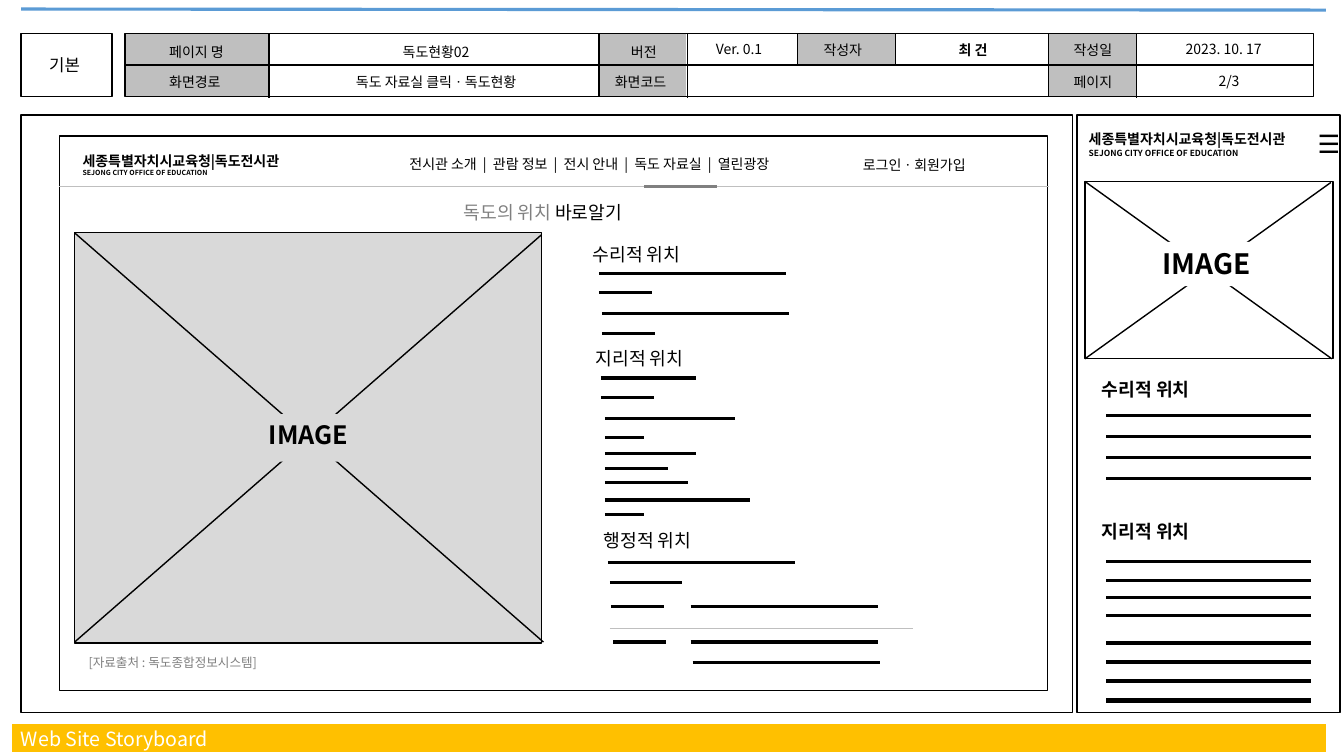
from lxml import etree
from pptx import Presentation
from pptx import util as u
from pptx.dml.color import RGBColor
from pptx.enum import shapes, text
from pptx.oxml.ns import qn

FONT = "Noto Sans CJK KR"
BLACK = RGBColor(0x00, 0x00, 0x00)
WHITE = RGBColor(0xFF, 0xFF, 0xFF)
BLUE = RGBColor(0x5B, 0x9B, 0xD5)
AMBER = RGBColor(0xFF, 0xC0, 0x00)
PALE = RGBColor(0xD9, 0xD9, 0xD9)
SILVER = RGBColor(0xBF, 0xBF, 0xBF)
GREY = RGBColor(0x80, 0x80, 0x80)
INCH = 2.54  # the layout grid is in inches

prs = Presentation()
prs.slide_width, prs.slide_height = u.Cm(13.33 * INCH), u.Cm(7.5 * INCH)
s = prs.slides.add_slide(prs.slide_layouts[6])


def box(x, y, w, h, paras=(), fill=None, line=None, center=False,
        bold=False, grow=True):
    """Add a rectangle, or a text box when unfilled and unlined.

    paras is a list of paragraphs, each a list of (text, size, colour) runs.
    """
    at = [u.Cm(v * INCH) for v in (x, y, w, h)]
    if fill is None and line is None:
        sp = s.shapes.add_textbox(*at)
    else:
        sp = s.shapes.add_shape(shapes.MSO_SHAPE.RECTANGLE, *at)
        sp.shadow.inherit = False
        if fill is None:
            sp.fill.background()
        else:
            sp.fill.solid()
            sp.fill.fore_color.rgb = fill
        if line is None:
            sp.line.fill.background()
        else:
            sp.line.color.rgb = line
            sp.line.width = u.Pt(1)
    tf = sp.text_frame
    tf.word_wrap = True
    tf.vertical_anchor = text.MSO_ANCHOR.TOP if grow else text.MSO_ANCHOR.MIDDLE
    if paras and grow:
        tf.auto_size = text.MSO_AUTO_SIZE.SHAPE_TO_FIT_TEXT
    for i, runs in enumerate(paras):
        p = tf.add_paragraph() if i else tf.paragraphs[0]
        p.alignment = text.PP_ALIGN.CENTER if center else text.PP_ALIGN.LEFT
        for words, size, color in runs:
            r = p.add_run()
            r.text = words
            r.font.size = u.Pt(size)
            r.font.bold = bold
            r.font.name = FONT
            r.font.color.rgb = color
            etree.SubElement(r.font._element, qn("a:ea"), typeface=FONT)
    return sp


def rule(x1, y1, x2, y2, color=BLACK, width=2.25):
    """Add a straight line."""
    ends = [u.Cm(v * INCH) for v in (x1, y1, x2, y2)]
    c = s.shapes.add_connector(shapes.MSO_CONNECTOR.STRAIGHT, *ends)
    c.line.color.rgb = color
    c.line.width = u.Pt(width)
    etree.SubElement(c._element.spPr, qn("a:effectLst"))
    return c


# Page frame
box(0.21, 1.14, 10.43, 5.93, fill=WHITE, line=BLACK)
box(0.21, 0.33, 0.9, 0.63, fill=WHITE, line=BLACK)
box(0.39, 0.49, 0.54, 0.36, [[("기본", 12, BLACK)]])
rule(0.21, 0.09, 13.15, 0.1, BLUE)
rule(0.12, 7.32, 13.15, 7.32, AMBER, 20)
box(0.11, 7.16, 2.61, 0.34, [[("Web Site Storyboard", 14, WHITE)]])

# Document information
for x, w, h in [(10.4, 0.88, 0.63), (1.24, 1.44, 0.64),
                (5.94, 0.87, 0.63), (7.91, 0.97, 0.32)]:
    box(x, 0.33, w, h, fill=SILVER, line=WHITE)
info = box(1.24, 0.33, 11.79, 0.63, line=BLACK)
divider = rule(1.24, 0.65, 13.03, 0.65, width=1)
divider.begin_connect(info, 1)
divider.end_connect(info, 3)
for x, y, w, label in [
        (1.58, 0.38, 0.94, "페이지 명"), (1.58, 0.68, 0.94, "화면경로"),
        (6, 0.68, 0.76, "화면코드"), (8.07, 0.36, 0.67, "작성자"),
        (10.55, 0.36, 0.62, "작성일"), (10.55, 0.68, 0.62, "페이지")]:
    box(x, y, w, 0.27, [[(label, 10, BLACK)]])
for x, y, w, value in [
        (6.01, 0.38, 0.75, "버전"), (2.84, 0.38, 2.97, "독도현황02"),
        (6.9, 0.35, 0.86, "Ver. 0.1"), (9.22, 0.36, 0.86, "최 건"),
        (11.63, 0.35, 1.01, "2023. 10. 17"), (11.59, 0.67, 1.2, "2/3"),
        (2.84, 0.68, 2.97, "독도 자료실 클릭ㆍ독도현황")]:
    box(x, y, w, 0.27, [[(value, 10, BLACK)]], center=True,
        bold=value == "최 건")
for x, bottom in [(2.67, 0.97), (5.94, 0.96), (6.82, 0.97), (7.91, 0.65),
                  (8.88, 0.65), (10.4, 0.96), (11.27, 0.97)]:
    rule(x, 0.33, x, bottom, width=1)

# Desktop screen: header and navigation
box(0.59, 1.35, 9.8, 5.5, fill=WHITE, line=BLACK)
SITE, SITE_EN = "세종특별자치시교육청|독도전시관", "SEJONG CITY OFFICE OF EDUCATION"
box(0.72, 1.46, 2.52, 0.35, [[(SITE, 10, BLACK)], [(SITE_EN, 5, BLACK)]],
    bold=True)
menu = ["전시관 소개", "관람 정보", "전시 안내", "독도 자료실", "열린광장"]
box(3.62, 1.49, 4.45, 0.27, [[("  |  ".join(menu), 10, BLACK)]], center=True)
box(8.46, 1.5, 1.32, 0.27, [[("로그인ㆍ회원가입", 10, BLACK)]])
rule(0.59, 1.85, 10.4, 1.85, SILVER, 0.5)
rule(6.39, 1.85, 7.11, 1.85, GREY)
box(4.5, 1.95, 1.97, 0.32,
    [[("독도의 위치 ", 13, GREY), ("바로알기", 13, BLACK)]])

# Desktop screen: image area
box(0.74, 2.31, 4.63, 4.07, fill=PALE, line=BLACK)
rule(0.74, 2.31, 5.39, 6.37, width=1)
rule(0.74, 6.37, 5.37, 2.33, width=1)
box(1.78, 4.11, 2.56, 0.47, [[("IMAGE", 18, BLACK)]], fill=PALE,
    center=True, bold=True)
box(0.78, 6.45, 3.9, 0.25, [[("[자료출처 : 독도종합정보시스템]", 9, GREY)]])

# Desktop screen: headings with dummy text lines (left, right, y)
sections = [
    (5.78, 2.36, "수리적 위치",
     [(5.94, 7.8, 2.71), (5.94, 6.47, 2.9), (5.97, 7.83, 3.11),
      (5.97, 6.5, 3.31)]),
    (5.81, 3.4, "지리적 위치",
     [(5.96, 6.9, 3.75), (5.96, 6.49, 3.94), (6, 7.29, 4.15),
      (6, 6.39, 4.34), (6, 6.9, 4.5), (6, 6.63, 4.65), (6, 6.82, 4.79),
      (6, 7.44, 4.96), (6, 6.39, 5.1)]),
    (5.89, 5.2, "행정적 위치",
     [(6.03, 7.89, 5.58), (6.05, 6.76, 5.78), (6.85, 8.71, 6.02),
      (6.06, 6.59, 6.02), (6.85, 8.71, 6.37), (6.87, 8.73, 6.57),
      (6.08, 6.61, 6.37)]),
]
for x, y, heading, dummy_lines in sections:
    box(x, y, 1.97, 0.32, [[(heading, 13, BLACK)]])
    for left, right, line_y in dummy_lines:
        rule(left, line_y, right, line_y)
rule(6.05, 6.23, 9.06, 6.23, SILVER, 0.5)

# Mobile screen
box(10.68, 1.14, 2.61, 5.93, fill=WHITE, line=BLACK)
box(10.76, 1.8, 2.46, 1.76, fill=WHITE, line=BLACK)
rule(10.76, 1.8, 13.21, 3.56, width=1)
rule(10.76, 3.56, 13.2, 1.81, width=1)
box(11.33, 2.4, 1.27, 0.44, [[("IMAGE", 20, BLACK)]], fill=WHITE,
    center=True, bold=True)
for y, heading in [(3.6, "수리적 위치"), (5.01, "지리적 위치")]:
    box(10.83, y, 1.41, 0.53, [[(heading, 13, BLACK)]], bold=True, grow=False)
for width, rows in [(2.25, [4.12, 4.33, 4.54, 4.75, 5.57, 5.76, 5.93, 6.11]),
                    (3, [6.38, 6.57, 6.76, 6.95])]:
    for y in rows:
        rule(10.97, y, 13, y, width=width)
box(12.97, 1.22, 0.3, 0.44, [[("☰", 18, BLACK)]], center=True)
box(10.7, 1.25, 2.34, 0.4, [[(SITE, 10, BLACK)], [(SITE_EN, 6, BLACK)]],
    bold=True)

prs.save("out.pptx")
